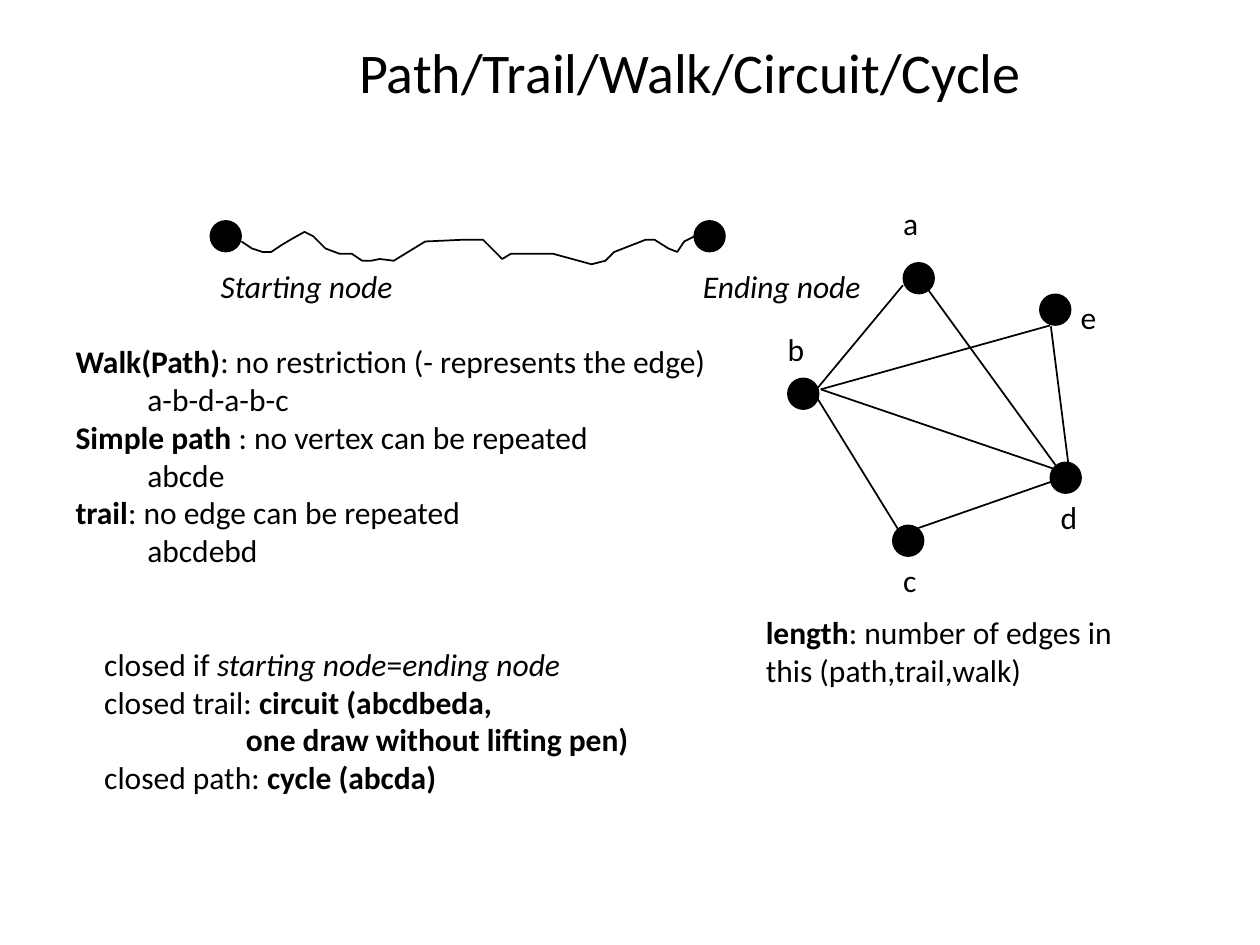
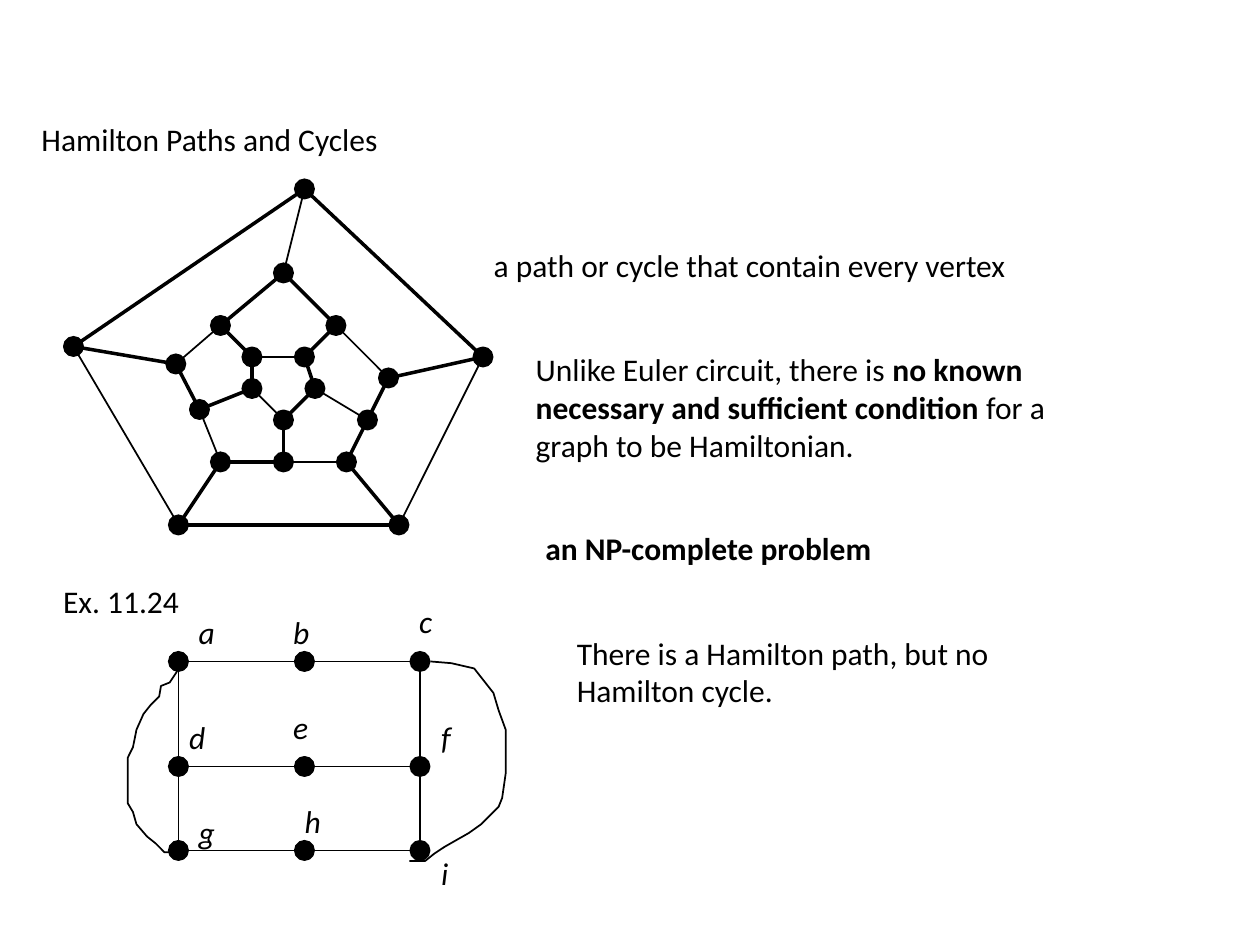
from itertools import product

from lxml.etree import SubElement
from pptx import Presentation
from pptx.dml.color import RGBColor
from pptx.enum.shapes import MSO_CONNECTOR, MSO_SHAPE
from pptx.enum.text import MSO_ANCHOR, MSO_AUTO_SIZE, PP_ALIGN
from pptx.oxml.ns import qn
from pptx.util import Pt

COLORS = {"ink": "000000", "paper": "FFFFFF"}
FONT = "Calibri"
TEXT_SIZE = 18
THIN, THICK = 1, 2
LABEL_SIZE = (25, 36)


def color(name):
    """Return a named colour."""
    return RGBColor.from_string(COLORS[name])


def place(box, left, top, width, height):
    """Move and size a shape, in points."""
    box.left, box.top, box.width, box.height = map(Pt, (left, top, width, height))


def write(box, area, paragraphs, size=TEXT_SIZE, style="", indents=None):
    """Fill a box; a paragraph is a string or a list of (text, style) spans."""
    place(box, *area)
    frame = box.text_frame
    frame.word_wrap = False
    frame.auto_size = MSO_AUTO_SIZE.SHAPE_TO_FIT_TEXT
    frame.vertical_anchor = MSO_ANCHOR.TOP
    for index, spans in enumerate(paragraphs):
        para = frame.paragraphs[0] if index == 0 else frame.add_paragraph()
        para.alignment = PP_ALIGN.LEFT
        para.space_before = Pt(0)
        properties = para._p.get_or_add_pPr()
        properties.set("marL", str(Pt((indents or {}).get(index, 0))))
        properties.set("indent", "0")
        SubElement(properties, qn("a:buNone"))
        for text, look in [(spans, style)] if isinstance(spans, str) else spans:
            span = para.add_run()
            span.text = text
            span.font.name = FONT
            span.font.size = Pt(size)
            span.font.color.rgb = color("ink")
            span.font.bold = look == "bold"
            span.font.italic = look == "italic"


def add_text(page, area, *paragraphs, **options):
    """Add a text box."""
    write(page.shapes.add_textbox(0, 0, 0, 0), area, paragraphs, **options)


def add_labels(page, labels, style=""):
    """Add one small text box for each node name."""
    for name, corner in labels.items():
        add_text(page, (*corner, *LABEL_SIZE), name, style=style)


def add_nodes(page, centers, diameter):
    """Add a filled circle around each centre."""
    for x, y in centers:
        node = page.shapes.add_shape(MSO_SHAPE.OVAL, 0, 0, 0, 0)
        place(node, x - diameter / 2, y - diameter / 2, diameter, diameter)
        node.shadow.inherit = False
        node.fill.solid()
        node.fill.fore_color.rgb = color("ink")
        node.line.color.rgb = color("ink")
        node.line.width = Pt(THIN)


def add_edge(page, start, end, width=THIN):
    """Add a straight edge between two points."""
    edge = page.shapes.add_connector(MSO_CONNECTOR.STRAIGHT, *map(Pt, (*start, *end)))
    edge.line.color.rgb = color("ink")
    edge.line.width = Pt(width)
    SubElement(edge._element.spPr, qn("a:effectLst"))


def add_curve(page, points):
    """Add an open outline through the points."""
    first, *rest = [(Pt(x), Pt(y)) for x, y in points]
    builder = page.shapes.build_freeform(*first, scale=1.0)
    builder.add_line_segments(rest, close=False)
    curve = builder.convert_to_shape()
    curve.shadow.inherit = False
    curve.fill.background()
    curve.line.color.rgb = color("ink")
    curve.line.width = Pt(THIN)


def add_page(deck, layout, title, area, size=TEXT_SIZE):
    """Add a slide with its title."""
    page = deck.slides.add_slide(deck.slide_layouts[layout])
    page.background.fill.solid()
    page.background.fill.fore_color.rgb = color("paper")
    write(page.shapes.title, area, [title], size=size)
    return page


def add_wavy_trail(page):
    """Draw the trail from the starting node to the ending node."""
    add_nodes(page, [(129, 135), (405.5, 135)], 17.5)
    add_curve(page, [
        (138, 138), (144, 142), (150, 144), (155, 144), (161, 140), (166, 137),
        (174, 132.5), (179, 135), (186, 142), (194, 145), (201, 145), (207, 149),
        (212, 149), (217, 148), (225, 149), (243, 138), (265, 137), (276, 137),
        (287, 148), (292, 145), (316, 145), (327, 148), (338, 151), (346, 149),
        (351, 144), (369, 137), (374, 137), (382, 142), (387, 144), (391, 138),
        (397, 135)])
    add_text(page, (119, 149, 114, 29), "Starting node", style="italic")
    add_text(page, (394.5, 149, 106, 29), "Ending node", style="italic")


def add_five_node_graph(page):
    """Draw the graph on the nodes a to e."""
    add_nodes(page, [(525, 159), (459, 225), (519, 309), (609, 273), (603, 177)], 17.5)
    edges = [((516, 163), (467, 222)), ((469, 222.5), (600, 186)),
             ((600.5, 186.5), (611, 269)), ((613, 271), (515.5, 305)),
             ((516, 307), (467, 227.5)), ((528.5, 163), (605.5, 269)),
             ((469, 222.5), (605.5, 269))]
    for start, end in edges:
        add_edge(page, start, end)
    add_labels(page, {"a": (509, 113), "b": (443, 185), "c": (509, 317),
                      "d": (599, 281), "e": (610.5, 167)})


def add_dodecahedron(page):
    """Draw three rings joined by spokes, with the Hamilton cycle thick."""
    outer = [(174, 108), (276, 204), (228, 300), (102, 300), (42, 198)]
    middle = [(162, 156), (192, 186), (222, 216), (210, 240), (198, 264),
              (162, 264), (126, 264), (114, 234), (100.5, 208), (126, 186)]
    inner = [(174, 204), (180, 222), (162, 240), (144, 222), (144, 204)]
    groups = [(outer, outer[1:] + outer[:1], {1, 3}),
              (middle, middle[1:] + middle[:1], {1, 4, 6, 8}),
              (inner, inner[1:] + inner[:1], {2, 4}),
              (outer, middle[::2], {0}),
              (inner, middle[1::2], {1})]
    for starts, ends, thin in groups:
        for index, (start, end) in enumerate(zip(starts, ends)):
            add_edge(page, start, end, THIN if index in thin else THICK)
    add_nodes(page, outer + middle + inner, 11)


def add_grid_graph(page):
    """Draw the three by three graph with its two curved edges."""
    columns, rows = (102, 174, 240), (378, 438, 486)
    for y, (left, right) in product(rows, zip(columns, columns[1:])):
        add_edge(page, (left, y), (right, y))
    for x, (top, bottom) in product(columns[::2], zip(rows, rows[1:])):
        add_edge(page, (x, top), (x, bottom))
    add_nodes(page, product(columns, rows), 11)
    add_curve(page, [
        (102, 378), (101, 384), (97, 390), (92, 392), (91, 398), (86, 403),
        (82, 408), (78, 417), (77, 422), (76, 427), (73, 433), (73, 459),
        (76, 464), (78, 471), (84, 478), (89, 482), (94, 487), (99, 487),
        (102, 486)])
    add_curve(page, [
        (246, 378), (258, 379), (271, 382), (282, 396), (285, 406), (289, 417),
        (289, 442), (287, 456), (285, 461), (280, 466), (275, 471), (268, 476),
        (261, 480), (254, 484), (248, 488), (243, 492), (234, 492)])
    add_labels(page, {"a": (106.5, 347), "b": (160.5, 347), "c": (232.5, 340.5),
                      "d": (101, 407), "e": (160.5, 401), "f": (245, 407),
                      "g": (106.5, 461), "h": (167, 455), "i": (245, 484.5)}, "italic")


def build_path_page(deck):
    """Build the slide that defines walks, paths and trails."""
    page = add_page(deck, 1, "Path/Trail/Walk/Circuit/Cycle", (198, 18, 397, 46), 32)
    write(page.placeholders[1], (36, 192, 379, 138), [
        [("Walk(Path)", "bold"), (": no restriction (- represents the edge)", "")],
        "a-b-d-a-b-c",
        [("Simple path ", "bold"), (": no vertex can be repeated", "")],
        "abcde",
        [("trail", "bold"), (": no edge can be repeated", "")],
        "abcdebd"], indents={1: 41, 3: 41, 5: 41})
    add_wavy_trail(page)
    add_five_node_graph(page)
    add_text(page, (52.5, 365, 318, 94),
             [("closed if ", ""), ("starting node", "italic"), ("=", ""),
              ("ending node", "italic")],
             [("closed trail: ", ""), ("circuit (abcdbeda,", "bold")],
             [("one draw without lifting pen)", "bold")],
             [("closed path: ", ""), ("cycle (abcda)", "bold")], indents={2: 81})
    add_text(page, (430.5, 347, 275, 65),
             [("length", "bold"), (": number of edges in", "")],
             "this (path,trail,walk)")


def build_hamilton_page(deck):
    """Build the slide on Hamilton paths and cycles."""
    page = add_page(deck, 5, "Hamilton Paths and Cycles", (16.5, 65, 209, 29))
    add_dodecahedron(page)
    add_text(page, (275, 137, 398, 36), "a path or cycle that contain every vertex")
    add_text(page, (299, 196.5, 417, 94),
             [("Unlike Euler circuit, there is ", ""), ("no known", "bold")],
             [("necessary and sufficient condition", "bold"), (" for a", "")],
             "graph to be Hamiltonian.")
    add_text(page, (304.5, 299, 270, 36), "an NP-complete problem", style="bold")
    add_text(page, (29, 329, 113, 36), "Ex. 11.24")
    add_grid_graph(page)
    add_text(page, (322.5, 358.5, 331, 65),
             "There is a Hamilton path, but no", "Hamilton cycle.")


def main():
    """Build and save the deck."""
    deck = Presentation()
    deck.slide_width, deck.slide_height = Pt(720), Pt(540)
    build_path_page(deck)
    build_hamilton_page(deck)
    deck.save("out.pptx")


if __name__ == "__main__":
    main()
